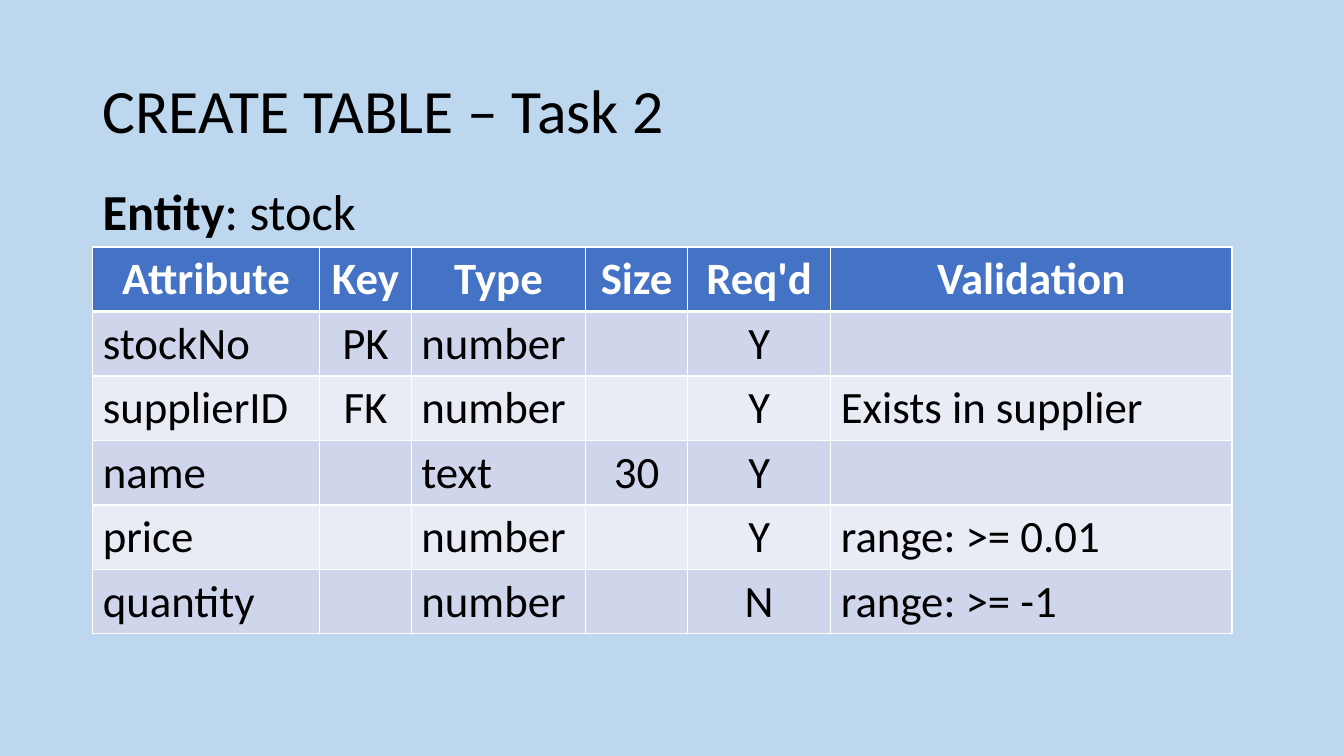
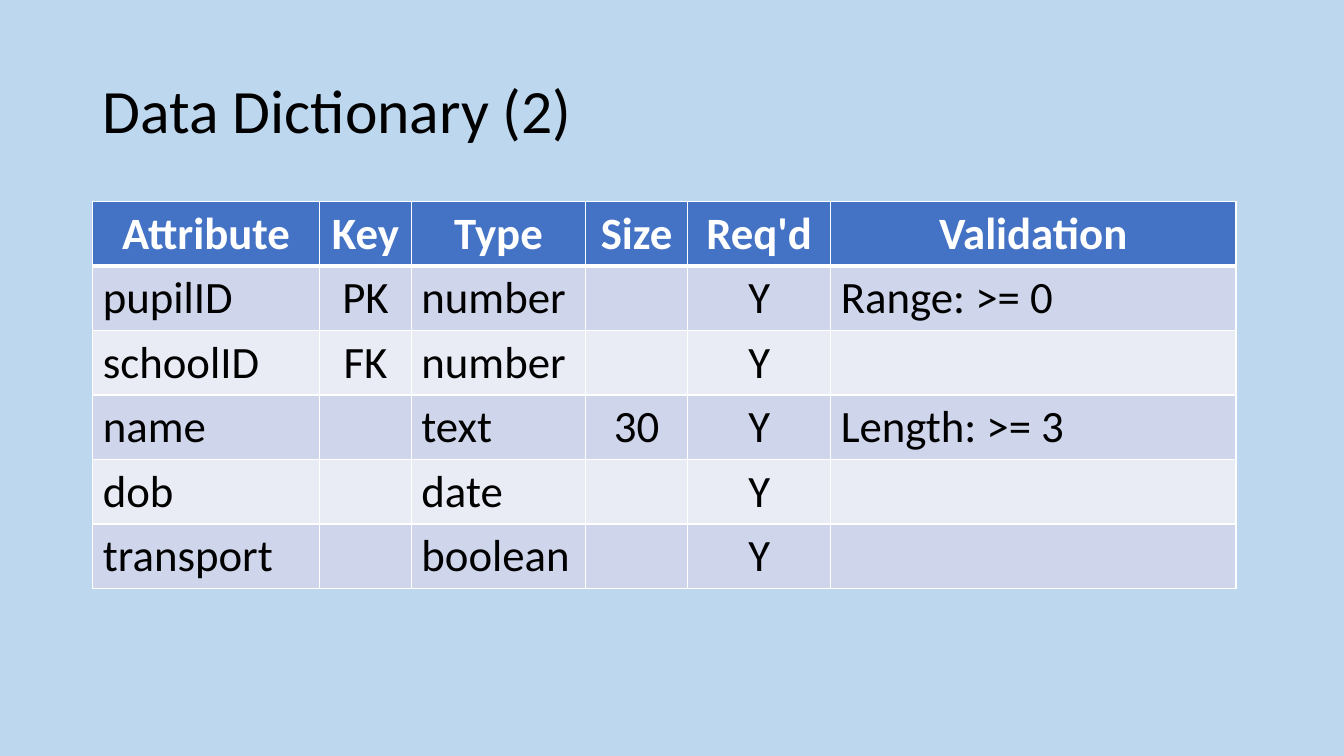
"""Build two data dictionary slides, each with a title and an attribute table."""
from lxml import etree
from pptx import Presentation
from pptx.dml.color import RGBColor
from pptx.enum.text import MSO_ANCHOR, MSO_AUTO_SIZE, PP_ALIGN
from pptx.oxml.ns import qn
from pptx.util import Inches, Pt

MIDDLE = MSO_ANCHOR.MIDDLE
FIT_SHAPE = MSO_AUTO_SIZE.SHAPE_TO_FIT_TEXT
LEFT, CENTER = PP_ALIGN.LEFT, PP_ALIGN.CENTER

THEME = {
    "font": "Calibri",
    "background": "BDD7EE",
    "header": "4472C4",
    "bands": ("CFD5EA", "E9EBF5"),
    "ink": "000000",
    "white": "FFFFFF",
    "title_size": 44,
    "caption_size": 36,
    "table_size": 32,
    "thin": 1,
    "thick": 3,
}

SLIDE_SIZE = (13.33, 7.5)
MARGIN = 0.92
TITLE_AREA = (MARGIN, 0.4, 11.5, 1.45)
CAPTION_AREA = (MARGIN, 1.74, 2.74, 0.71)
ROW_HEIGHT = 0.64
COLUMNS = (
    ("Attribute", 2.25, LEFT),
    ("Key", 0.91, CENTER),
    ("Type", 1.73, LEFT),
    ("Size", 1.01, CENTER),
    ("Req'd", 1.42, CENTER),
)

SLIDES = (
    {
        "title": "CREATE TABLE – Task 2",
        "caption": (("Entity", True), (": stock", False)),
        "top": 2.45,
        "validation_width": 3.98,
        "rows": (
            ("stockNo", "PK", "number", "", "Y", ""),
            ("supplierID", "FK", "number", "", "Y", "Exists in supplier"),
            ("name", "", "text", "30", "Y", ""),
            ("price", "", "number", "", "Y", "range: >= 0.01"),
            ("quantity", "", "number", "", "N", "range: >= -1"),
        ),
    },
    {
        "title": "Data Dictionary (2)",
        "caption": (),
        "top": 2,
        "validation_width": 4.02,
        "rows": (
            ("pupilID", "PK", "number", "", "Y", "Range: >= 0"),
            ("schoolID", "FK", "number", "", "Y", ""),
            ("name", "", "text", "30", "Y", "Length: >= 3"),
            ("dob", "", "date", "", "Y", ""),
            ("transport", "", "boolean", "", "Y", ""),
        ),
    },
)


def paint(fill, color):
    fill.solid()
    fill.fore_color.rgb = RGBColor.from_string(color)


def style_font(font, size, color, bold=False):
    values = {"name": THEME["font"], "size": Pt(size), "bold": bold}
    for name, value in values.items():
        setattr(font, name, value)
    font.color.rgb = RGBColor.from_string(color)


def add_text(slide, area, spans, size, paragraph_format, frame_format):
    box = slide.shapes.add_textbox(*map(Inches, area))
    for name, value in frame_format.items():
        setattr(box.text_frame, name, value)
    para = box.text_frame.paragraphs[0]
    for name, value in paragraph_format.items():
        setattr(para, name, value)
    for text, bold in spans:
        span = para.add_run()
        span.text = text
        style_font(span.font, size, THEME["ink"], bold)


def add_borders(cell, widths):
    properties = cell._tc.get_or_add_tcPr()
    for side, width in widths.items():
        line = etree.SubElement(properties, qn(f"a:ln{side}"), w=str(Pt(width)))
        solid = etree.SubElement(line, qn("a:solidFill"))
        etree.SubElement(solid, qn("a:srgbClr"), val=THEME["white"])


def style_cell(cell, text, row_index, align):
    header = row_index == 0
    thin, thick = THEME["thin"], THEME["thick"]
    add_borders(cell, {
        "L": thin,
        "R": thin,
        "T": thick if row_index == 1 else thin,
        "B": thick if header else thin,
    })
    paint(cell.fill, THEME["header"] if header else THEME["bands"][(row_index - 1) % 2])
    cell.text = text
    para = cell.text_frame.paragraphs[0]
    para.alignment = CENTER if header else align
    style_font(para.font, THEME["table_size"], THEME["white" if header else "ink"], header)


def add_attribute_table(slide, top, validation_width, rows):
    columns = COLUMNS + (("Validation", validation_width, LEFT),)
    headings, widths, alignments = zip(*columns)
    lines = (headings,) + rows
    area = (MARGIN, top, sum(widths), ROW_HEIGHT * len(lines))
    table = slide.shapes.add_table(len(lines), len(columns), *map(Inches, area)).table
    for column, width in zip(table.columns, widths):
        column.width = Inches(width)
    for row_index, line in enumerate(lines):
        table.rows[row_index].height = Inches(ROW_HEIGHT)
        for column_index, text in enumerate(line):
            cell = table.cell(row_index, column_index)
            style_cell(cell, text, row_index, alignments[column_index])


def main():
    deck = Presentation()
    deck.slide_width, deck.slide_height = map(Inches, SLIDE_SIZE)
    paint(deck.slide_master.background.fill, THEME["background"])
    for page in SLIDES:
        slide = deck.slides.add_slide(deck.slide_layouts[6])
        add_text(slide, TITLE_AREA, ((page["title"], False),), THEME["title_size"],
                 {"line_spacing": 0.9}, {"word_wrap": True, "vertical_anchor": MIDDLE})
        add_attribute_table(slide, page["top"], page["validation_width"], page["rows"])
        if page["caption"]:
            add_text(slide, CAPTION_AREA, page["caption"], THEME["caption_size"],
                     {}, {"word_wrap": False, "auto_size": FIT_SHAPE})
    deck.save("out.pptx")


if __name__ == "__main__":
    main()
